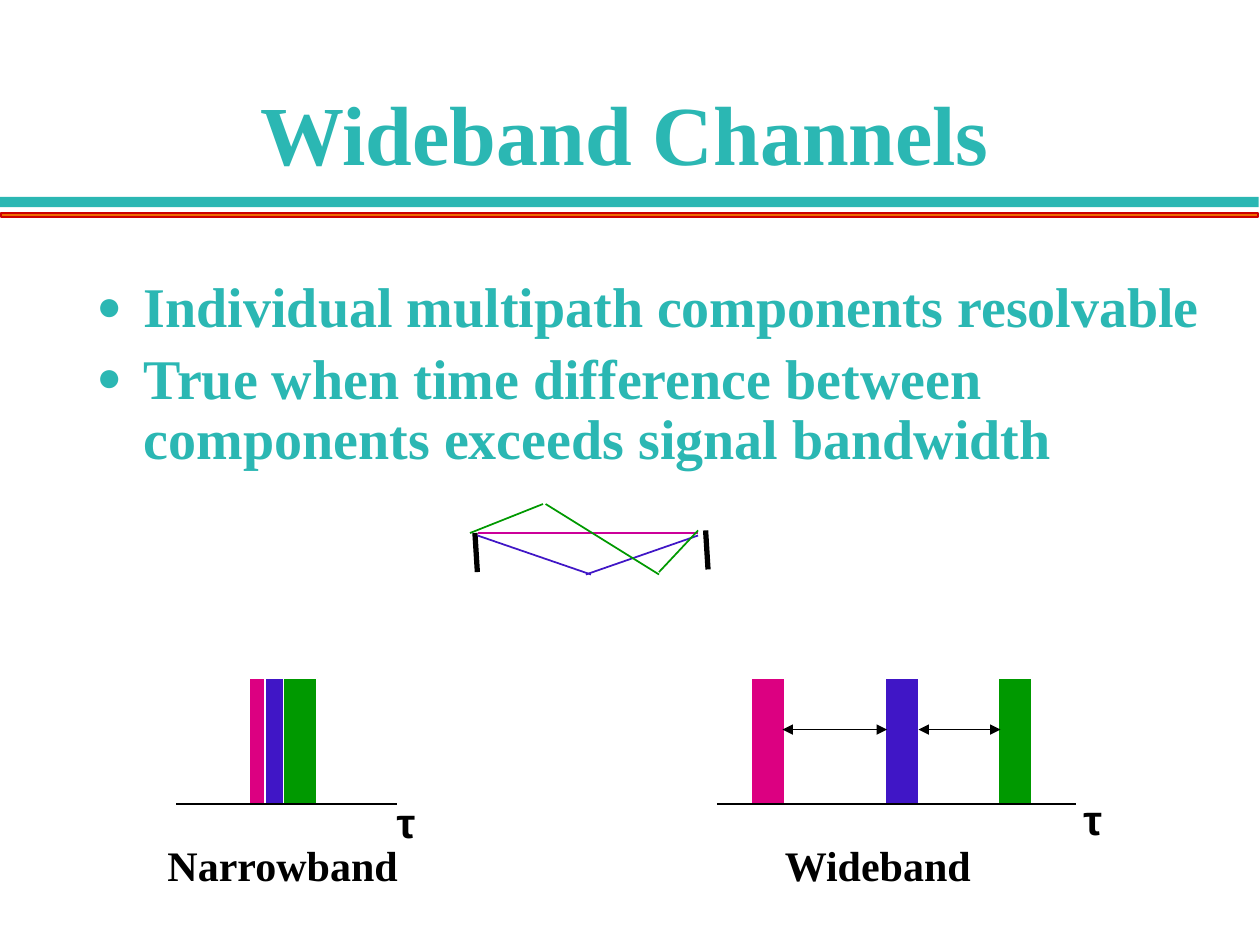
"""Builds the Wideband Channels slide."""
from lxml.etree import SubElement
from pptx import Presentation
from pptx.dml.color import RGBColor
from pptx.enum.shapes import MSO_CONNECTOR, MSO_SHAPE
from pptx.enum.text import MSO_ANCHOR, MSO_AUTO_SIZE, PP_ALIGN
from pptx.oxml.ns import qn
from pptx.util import Pt

TEAL = RGBColor(0x2B, 0xB7, 0xB3)
ORANGE = RGBColor(0xED, 0x6C, 0x00)
RED = RGBColor(0xCC, 0x00, 0x00)
PINK = RGBColor(0xDC, 0x00, 0x81)
MAGENTA = RGBColor(0xCC, 0x00, 0x99)
BLUE = RGBColor(0x40, 0x16, 0xC6)
GREEN = RGBColor(0x00, 0x99, 0x00)
BLACK = RGBColor(0x00, 0x00, 0x00)
WHITE = RGBColor(0xFF, 0xFF, 0xFF)


class ChannelSlide:
    """Holds the slide, its current drawing target and the shared style."""

    serif = "Times New Roman"
    sans = "Arial"
    bar_top, bar_width, bar_height = 387.4, 19.4, 72

    def __init__(self, slide):
        self.slide = slide
        self.canvas = slide.shapes

    def style(self, paragraph, size, color, font):
        for run in paragraph.runs:
            run.font.name = font
            run.font.size = Pt(size)
            run.font.bold = True
            run.font.color.rgb = color

    def place(self, holder, left, top, width, height, anchor):
        holder.left, holder.top = Pt(left), Pt(top)
        holder.width, holder.height = Pt(width), Pt(height)
        frame = holder.text_frame
        frame.auto_size = MSO_AUTO_SIZE.NONE
        frame.vertical_anchor = anchor
        return frame

    def title(self, text, *bounds):
        frame = self.place(self.slide.shapes.title, *bounds, MSO_ANCHOR.BOTTOM)
        frame.text = text
        heading = frame.paragraphs[0]
        heading.alignment = PP_ALIGN.CENTER
        self.style(heading, 48, TEAL, self.serif)

    def bullets(self, points, *bounds):
        frame = self.place(self.slide.placeholders[1], *bounds, MSO_ANCHOR.TOP)
        frame.text = "\n".join(points)
        for index, point in enumerate(frame.paragraphs):
            properties = point._p.get_or_add_pPr()
            properties.set("marL", str(Pt(27)))
            properties.set("indent", str(Pt(-27)))
            bullet_color = SubElement(properties, qn("a:buClr"))
            SubElement(bullet_color, qn("a:srgbClr"), val=str(TEAL))
            SubElement(properties, qn("a:buSzPct"), val="75000")
            SubElement(properties, qn("a:buFont"), typeface=self.serif)
            SubElement(properties, qn("a:buChar"), char="●")
            point.line_spacing = 0.9
            point.space_before = Pt(6.4 if index else 0)
            self.style(point, 32, TEAL, self.serif)

    def rectangle(self, left, top, width, height, fill, outline=None):
        block = self.canvas.add_shape(
            MSO_SHAPE.RECTANGLE, Pt(left), Pt(top), Pt(width), Pt(height))
        block.shadow.inherit = False
        block.fill.solid()
        block.fill.fore_color.rgb = fill
        if outline is None:
            block.line.fill.background()
        else:
            block.line.color.rgb = outline
            block.line.width = Pt(1)

    def line(self, x1, y1, x2, y2, color=BLACK, width=1, arrows=False):
        stroke = self.canvas.add_connector(
            MSO_CONNECTOR.STRAIGHT, Pt(x1), Pt(y1), Pt(x2), Pt(y2))
        stroke.line.color.rgb = color
        stroke.line.width = Pt(width)
        if arrows:
            outline = stroke.line._get_or_add_ln()
            for end in ("a:headEnd", "a:tailEnd"):
                SubElement(outline, qn(end), type="triangle")
        SubElement(stroke._element.spPr, qn("a:effectLst"))

    def label(self, text, left, top, width, height, font):
        box = self.canvas.add_textbox(Pt(left), Pt(top), Pt(width), Pt(height))
        frame = box.text_frame
        frame.word_wrap = False
        frame.auto_size = MSO_AUTO_SIZE.SHAPE_TO_FIT_TEXT
        frame.text = text
        self.style(frame.paragraphs[0], 24, BLACK, font)

    def delay_plot(self, bar_lefts, axis_start, axis_end, tau_left, tau_top, gaps=()):
        self.canvas = self.slide.shapes.add_group_shape().shapes
        for left, color in zip(bar_lefts, (PINK, BLUE, GREEN)):
            self.rectangle(left, self.bar_top, self.bar_width, self.bar_height, color, WHITE)
        axis = self.bar_top + self.bar_height
        self.line(axis_start, axis, axis_end, axis)
        self.label("τ", tau_left, tau_top, 25.2, 36, self.sans)
        for start, end in gaps:
            self.line(start, 416.9, end, 416.9, arrows=True)
        self.canvas = self.slide.shapes


def main():
    """Lays out the slide and saves it."""
    deck = Presentation()
    deck.slide_width, deck.slide_height = Pt(720), Pt(540)
    channels = ChannelSlide(deck.slides.add_slide(deck.slide_layouts[1]))

    channels.rectangle(0, 112.5, 719.3, 5.8, TEAL)
    channels.rectangle(0.7, 121.9, 718, 2.2, ORANGE, RED)
    channels.title("Wideband Channels", 48, 18, 618, 90)
    channels.bullets(
        ("Individual multipath components resolvable",
         "True when time difference between components exceeds signal bandwidth"),
        48, 156, 654, 324)

    channels.delay_plot((142.5, 151.5, 162), 100.8, 226.8, 219.6, 451.4)
    channels.delay_plot((429.4, 505.6, 570.4), 409.7, 614.9, 612, 450,
                        gaps=((447.1, 506.9), (524.9, 571.7)))
    channels.label("Narrowband", 88.6, 475.9, 152.6, 35.3, channels.serif)
    channels.label("Wideband", 441.4, 475.9, 128.2, 35.3, channels.serif)

    for left, top in ((271.4, 304.6), (403.2, 303.1)):
        channels.line(left, top, left + 1.4, top + 22.3, width=3)
    paths = (
        (MAGENTA, (272.9, 304.6, 398.9, 304.6)),
        (BLUE, (272.9, 306, 337.7, 328.3)),
        (BLUE, (398.9, 306, 334.8, 328.3)),
        (GREEN, (268.6, 304.6, 310.3, 288)),
        (GREEN, (311.8, 288, 376.6, 328.3)),
        (GREEN, (376.6, 326.9, 398.9, 303.1)),
    )
    for color, ends in paths:
        channels.line(*ends, color)

    deck.save("out.pptx")


if __name__ == "__main__":
    main()
